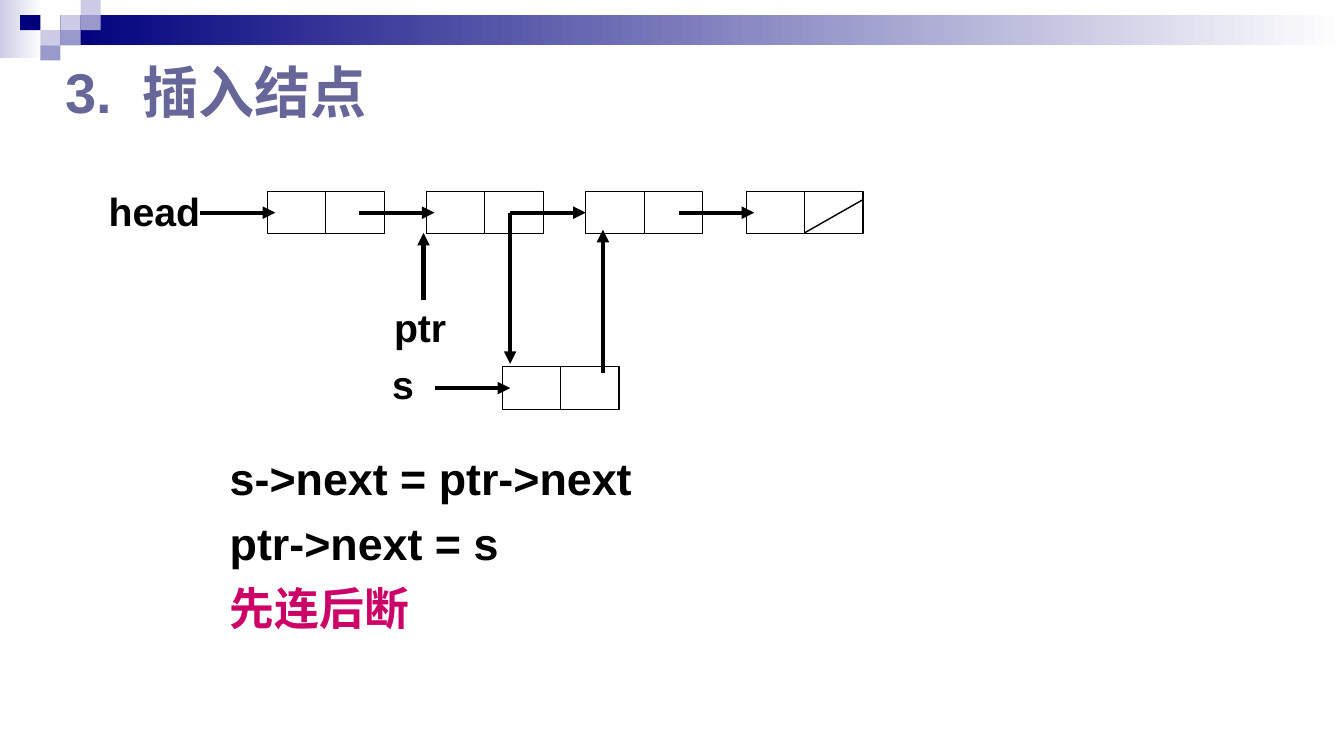
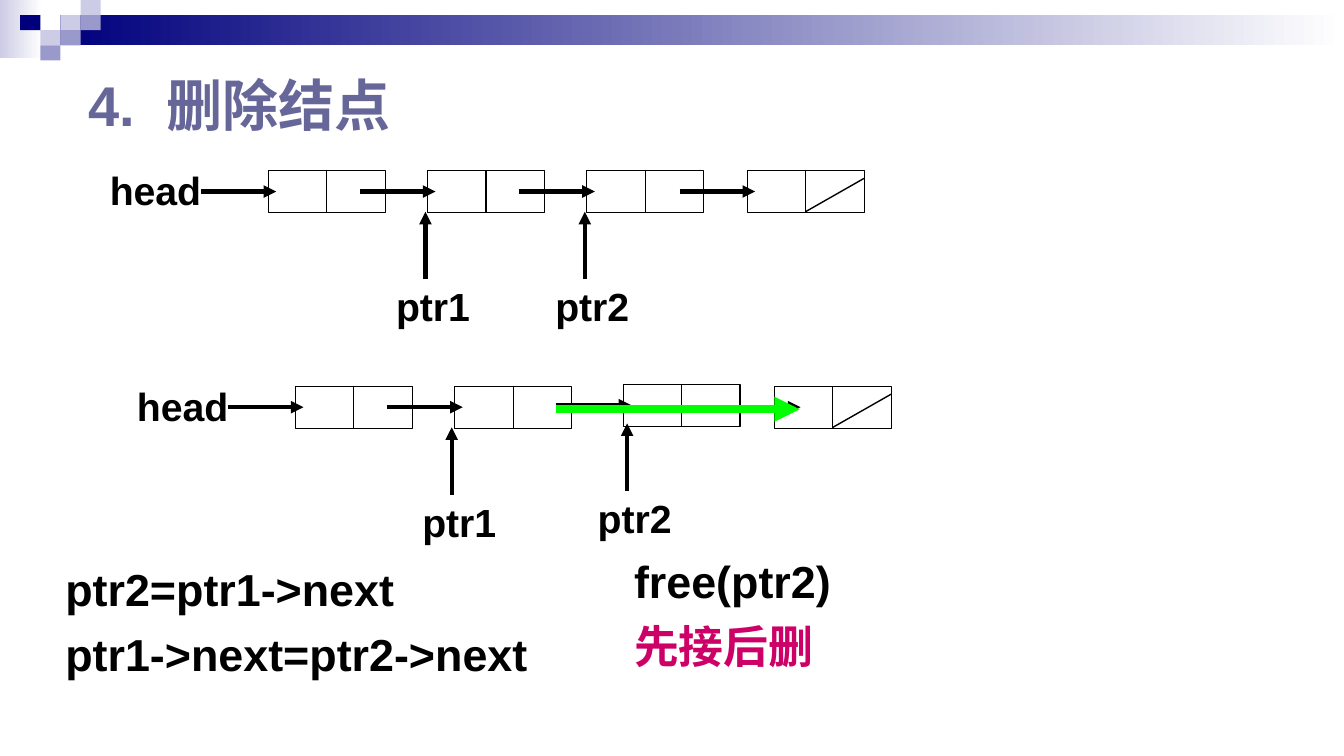
from lxml import etree
from pptx import Presentation
from pptx.dml.color import RGBColor
from pptx.enum.shapes import MSO_CONNECTOR, MSO_SHAPE
from pptx.enum.text import MSO_ANCHOR, MSO_AUTO_SIZE, PP_ALIGN
from pptx.oxml.ns import qn
from pptx.util import Pt

RECT, STRAIGHT = MSO_SHAPE.RECTANGLE, MSO_CONNECTOR.STRAIGHT
MIDDLE, TOP = MSO_ANCHOR.MIDDLE, MSO_ANCHOR.TOP
JUSTIFY, LEFT = PP_ALIGN.JUSTIFY, PP_ALIGN.LEFT
GROW, FIXED = MSO_AUTO_SIZE.SHAPE_TO_FIT_TEXT, MSO_AUTO_SIZE.NONE

EMU_PER_PX = 9144  # 100 px to the inch
WIDTH, HEIGHT = 1333, 750
CELL_W, CELL_H = 58, 42
MID = CELL_H // 2
LABEL_WIDTHS = {"head": 111, "ptr": 72, "ptr1": 94, "ptr2": 94, "s": 42}

BLACK, WHITE, NAVY = "000000", "FFFFFF", "00007D"
PALE, LILAC, SLATE = "CCCCE6", "9999CC", "666699"
PINK, GREEN = "CC0066", "00FF00"

TILE_W, TILE_H = 20, 15
TILES = [  # column, row, colour
    (3, 1, PALE), (4, 0, PALE), (4, 1, LILAC), (2, 2, PALE),
    (1, 1, NAVY), (3, 2, LILAC), (2, 3, LILAC),
]


def px(length):
    return round(length * EMU_PER_PX)


def rgb(value):
    return RGBColor.from_string(value)


class ListDeck:
    TITLE = {"name": "Arial", "size": Pt(40), "bold": True}
    BODY = {"name": "Arial", "size": Pt(32), "bold": True}
    LABEL = {"name": "Arial", "size": Pt(28), "bold": True}

    def __init__(self):
        self.deck = Presentation()
        self.deck.slide_width, self.deck.slide_height = px(WIDTH), px(HEIGHT)
        self.page = None

    def new_page(self, title, left, top):
        self.page = self.deck.slides.add_slide(self.deck.slide_layouts[6])
        background = self.page.background.fill
        background.solid()
        background.fore_color.rgb = rgb(WHITE)
        # Fading bands and corner mosaic
        self.rect(0, 0, 42, 58, [PALE, WHITE])
        self.rect(60, 15, WIDTH - 60, 30, [NAVY, WHITE])
        for column, row, colour in TILES:
            self.rect(column * TILE_W, row * TILE_H, TILE_W, TILE_H, [colour])
        self.text(left, top, 900, 81, [(title, SLATE)], self.TITLE,
                  {"vertical_anchor": MIDDLE}, tab=77)

    def rect(self, left, top, width, height, colours=()):
        """No colour gives an outline, one a solid fill, two a gradient."""
        shape = self.page.shapes.add_shape(
            RECT, px(left), px(top), px(width), px(height))
        shape.shadow.inherit = False
        if not colours:
            shape.fill.background()
            shape.line.color.rgb = rgb(BLACK)
            shape.line.width = Pt(0.75)
            return shape
        shape.line.fill.background()
        if len(colours) == 1:
            shape.fill.solid()
            shape.fill.fore_color.rgb = rgb(colours[0])
        else:
            shape.fill.gradient()
            shape.fill.gradient_angle = 0
            for stop, colour in zip(shape.fill.gradient_stops, colours):
                stop.color.rgb = rgb(colour)
        return shape

    def text(self, left, top, width, height, lines, style, frame_format,
             align=LEFT, gap=0, tab=None):
        box = self.page.shapes.add_textbox(
            px(left), px(top), px(width), px(height))
        frame = box.text_frame
        values = {"word_wrap": True, "auto_size": FIXED,
                  "vertical_anchor": TOP, **frame_format}
        for name, value in values.items():
            setattr(frame, name, value)
        for index, (words, colour) in enumerate(lines):
            para = frame.add_paragraph() if index else frame.paragraphs[0]
            para.alignment = align
            if index:
                para.space_before = Pt(gap)
            if tab:
                stops = etree.SubElement(
                    para._p.get_or_add_pPr(), qn("a:tabLst"))
                etree.SubElement(
                    stops, qn("a:tab"), pos=str(px(tab)), algn="l")
            span = para.add_run()
            span.text = words
            for name, value in style.items():
                setattr(span.font, name, value)
            span.font.color.rgb = rgb(colour)

    def body(self, left, top, width, height, lines):
        self.text(left, top, width, height, lines, self.BODY,
                  {"margin_top": px(9)}, JUSTIFY, gap=8)

    def label(self, left, top, name):
        self.text(left, top, LABEL_WIDTHS[name], 57, [(name, BLACK)],
                  self.LABEL, {"word_wrap": False, "auto_size": GROW})

    def line(self, start, end, weight=3, colour=BLACK, arrow=True):
        connector = self.page.shapes.add_connector(
            STRAIGHT, *(px(value) for value in (*start, *end)))
        connector.line.color.rgb = rgb(colour)
        connector.line.width = Pt(weight)
        properties = connector.element.spPr
        if arrow:
            etree.SubElement(
                properties.find(qn("a:ln")), qn("a:tailEnd"), type="triangle")
        etree.SubElement(properties, qn("a:effectLst"))
        return connector

    def node(self, left, top, linked=True, last=False):
        """Two cells, the arrow coming in, and a slash in the last node."""
        data_cell = self.rect(left, top, CELL_W, CELL_H)
        self.rect(left + CELL_W, top, CELL_W, CELL_H)
        if linked:
            self.line((left - 67, top + MID), (left + 8, top + MID))
        if last:
            self.line((left + CELL_W, top + 41),
                      (left + 2 * CELL_W, top + 8), 1, arrow=False)
        return data_cell

    def chain(self, left, top, moved=None, unlinked=()):
        """Four evenly spaced nodes; moved maps an index to its own place."""
        self.label(left - 167, top - 9, "head")
        nodes = []
        for index in range(4):
            place = (moved or {}).get(index, (left + 475 * index // 3, top))
            nodes.append(self.node(
                *place, linked=index not in unlinked, last=index == 3))
        return nodes

    def pointer(self, x, y, name):
        self.line((x, y + 67), (x, y))
        self.label(x - 39, y + 65, name)


def insert_page(show):
    show.new_page("3.\t插入结点", 55, 50)
    show.body(218, 438, 517, 225, [
        ("s->next = ptr->next", BLACK), ("ptr->next = s", BLACK),
        ("先连后断", PINK)])
    # List and the new node
    nodes = show.chain(265, 190, unlinked=(2,))
    show.pointer(420, 231, "ptr")
    show.node(498, 364)
    show.label(379, 353, "s")
    # Old link and the two new ones
    old_link = show.line((506, 211), (581, 211))
    old_link.end_connect(nodes[2], 1)
    show.line((598, 370), (598, 228))
    show.line((506, 211), (506, 361))


def delete_page(show):
    show.new_page("4.\t删除结点", 78, 63)
    show.body(55, 548, 538, 133, [
        ("ptr2=ptr1->next", BLACK), ("ptr1->next=ptr2->next", BLACK)])
    show.body(619, 540, 408, 125, [("free(ptr2)", BLACK), ("先接后删", PINK)])
    # Before
    show.chain(266, 169)
    show.pointer(422, 210, "ptr1")
    show.pointer(580, 210, "ptr2")
    # After: the third node is bypassed
    show.chain(293, 383, moved={2: (618, 381)}, unlinked=(3,))
    show.line((719, 404), (794, 404))
    show.pointer(448, 424, "ptr1")
    show.pointer(622, 420, "ptr2")
    show.line((551, 406), (793, 406), 6, GREEN)


def main():
    show = ListDeck()
    insert_page(show)
    delete_page(show)
    show.deck.save("out.pptx")


if __name__ == "__main__":
    main()
